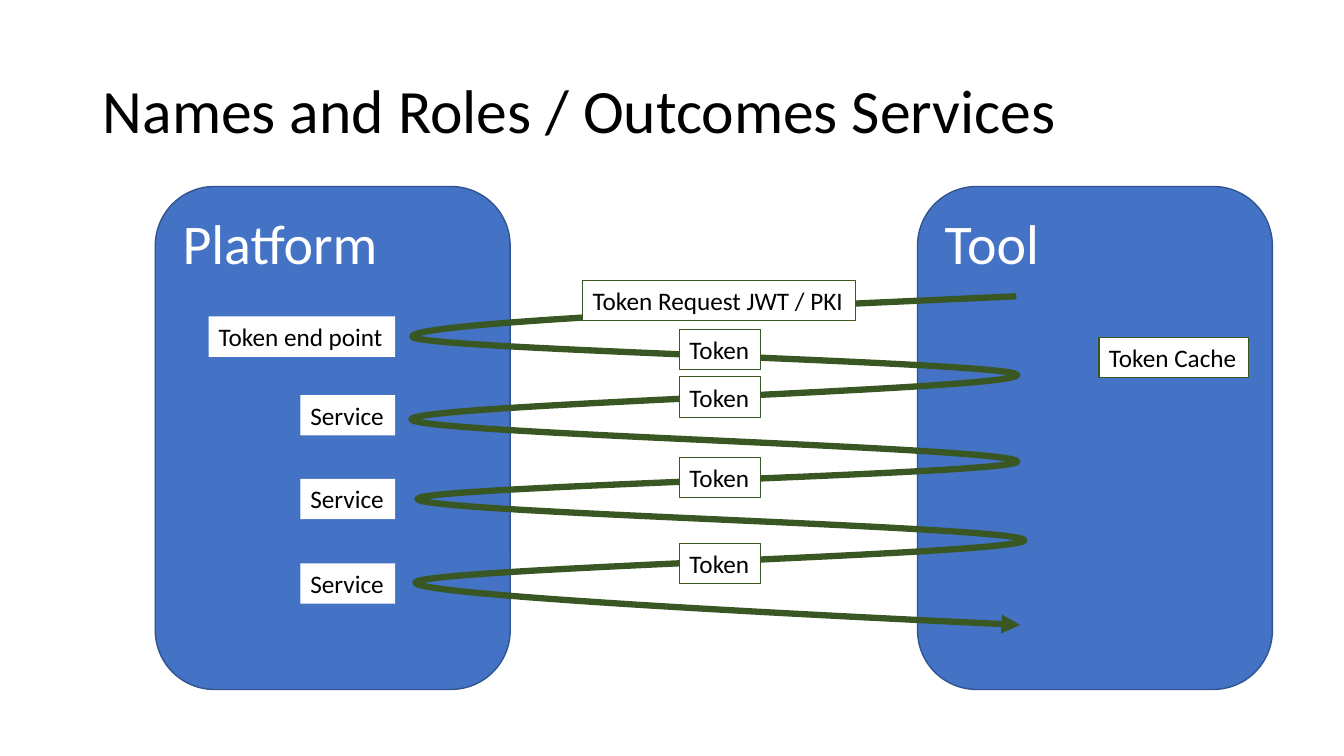
from itertools import pairwise

from lxml.etree import SubElement
from pptx import Presentation
from pptx.dml.color import RGBColor
from pptx.enum.shapes import MSO_SHAPE as Shape
from pptx.enum.text import MSO_ANCHOR as Anchor, MSO_AUTO_SIZE as AutoSize, PP_ALIGN as Align
from pptx.oxml.ns import qn
from pptx.util import Inches, Pt

# Grid: square cells, one inch per column and row
COLUMNS, ROWS = 13.33, 7.5
PANEL_TOP, PANEL_SIZE = 1.85, (3.52, 4.99)
LABEL_HEIGHT = 0.4
SERVICE_RIGHT = 3.92
TOKEN_LEFT, TOKEN_WIDTH = 6.74, 0.8

WHITE, BLACK = "FFFFFF", "000000"
BLUE, NAVY, GREEN = "4472C4", "325491", "385723"

# Corners of the message exchange, from the tool to the platform and back
EXCHANGE = [(10.08, 2.94), (4.09, 3.34), (10.09, 3.72), (4.08, 4.16), (10.09, 4.58),
            (4.14, 4.95), (10.16, 5.36), (4.12, 5.78), (10.12, 6.2)]


def grid(*cells):
    return [Inches(cell) for cell in cells]


def color(value):
    return RGBColor.from_string(value)


def set_format(target, values):
    for name, value in values.items():
        setattr(target, name, value)


def write(shape, text, size, font_color, frame_format):
    frame = shape.text_frame
    set_format(frame, frame_format)
    paragraph = frame.paragraphs[0]
    paragraph.text = text
    paragraph.alignment = Align.LEFT
    set_format(paragraph.font, {"name": "Calibri", "size": Pt(size)})
    paragraph.font.color.rgb = color(font_color)
    return paragraph


def set_line(shape, line_color, width):
    shape.line.color.rgb = color(line_color)
    shape.line.width = Pt(width)


def add_box(slide, kind, place, fill, line=None):
    box = slide.shapes.add_shape(kind, *grid(*place))
    box.shadow.inherit = False
    box.fill.solid()
    box.fill.fore_color.rgb = color(fill)
    if line:
        set_line(box, *line)
    else:
        box.line.fill.background()
    return box


def add_title(slide, text):
    title = slide.shapes.title
    place = grid(0.92, 0.4, 11.5, 1.45)
    set_format(title, dict(zip(("left", "top", "width", "height"), place)))
    paragraph = write(title, text, 44, BLACK, {
        "vertical_anchor": Anchor.MIDDLE, "word_wrap": True, "auto_size": AutoSize.NONE})
    paragraph.line_spacing = 0.9


def add_panel(slide, text, left):
    panel = add_box(slide, Shape.ROUNDED_RECTANGLE, (left, PANEL_TOP, *PANEL_SIZE),
                    BLUE, (NAVY, 1))
    write(panel, text, 40, WHITE, {"vertical_anchor": Anchor.TOP, "word_wrap": True})


def add_label(slide, text, left, top, width, outlined=True):
    label = add_box(slide, Shape.RECTANGLE, (left, top, width, LABEL_HEIGHT),
                    WHITE, (GREEN, 0.75) if outlined else None)
    write(label, text, 18, BLACK, {
        "vertical_anchor": Anchor.TOP, "word_wrap": False,
        "auto_size": AutoSize.SHAPE_TO_FIT_TEXT})


def curve_points(corners):
    """Two control points and an end point for each sweep between corners."""
    points = []
    for (x1, y1), (x2, y2) in pairwise(corners):
        third = (y2 - y1) / 3
        points += [(x1, y1 + third), (x2, y2 - third), (x2, y2)]
    # The open ends leave and arrive without a bend
    points[0] = ((corners[0][0] + corners[1][0]) / 2, points[0][1])
    points[-2] = corners[-1]
    return points


def add_exchange(slide, corners):
    builder = slide.shapes.build_freeform(*grid(*corners[0]))
    builder.add_line_segments([grid(*point) for point in curve_points(corners)], close=False)
    exchange = builder.convert_to_shape()
    exchange.shadow.inherit = False
    exchange.fill.background()
    set_line(exchange, GREEN, 4.5)

    # Join every three points into one Bézier curve
    path = next(exchange.element.iter(qn("a:path")))
    segments = path.findall(qn("a:lnTo"))
    for start in range(0, len(segments), 3):
        curve = SubElement(path, qn("a:cubicBezTo"))
        for segment in segments[start:start + 3]:
            curve.append(segment[0])
            path.remove(segment)

    # Arrowhead
    line = exchange.element.spPr.find(qn("a:ln"))
    SubElement(line, qn("a:tailEnd"), type="triangle")


def main():
    presentation = Presentation()
    width, height = grid(COLUMNS, ROWS)
    set_format(presentation, {"slide_width": width, "slide_height": height})
    slide = presentation.slides.add_slide(presentation.slide_layouts[5])

    # Title and the two parties
    add_title(slide, "Names and Roles / Outcomes Services")
    for text, left in (("Platform", 1.54), ("Tool", 9.1)):
        add_panel(slide, text, left)

    # Messages between them
    add_exchange(slide, EXCHANGE)
    add_label(slide, "Token Request JWT / PKI", 5.78, 2.78, 2.71)

    # End points on the platform, aligned right
    for text, top, label_width in (("Token end point", 3.14, 1.85), ("Service", 3.92, 0.94),
                                   ("Service", 4.75, 0.94), ("Service", 5.59, 0.94)):
        add_label(slide, text, SERVICE_RIGHT - label_width, top, label_width, outlined=False)

    # Tokens on the way and in the cache
    for top in (3.27, 3.74, 4.54, 5.39):
        add_label(slide, "Token", TOKEN_LEFT, top, TOKEN_WIDTH)
    add_label(slide, "Token Cache", 10.9, 3.35, 1.48)

    presentation.save("out.pptx")


if __name__ == "__main__":
    main()
